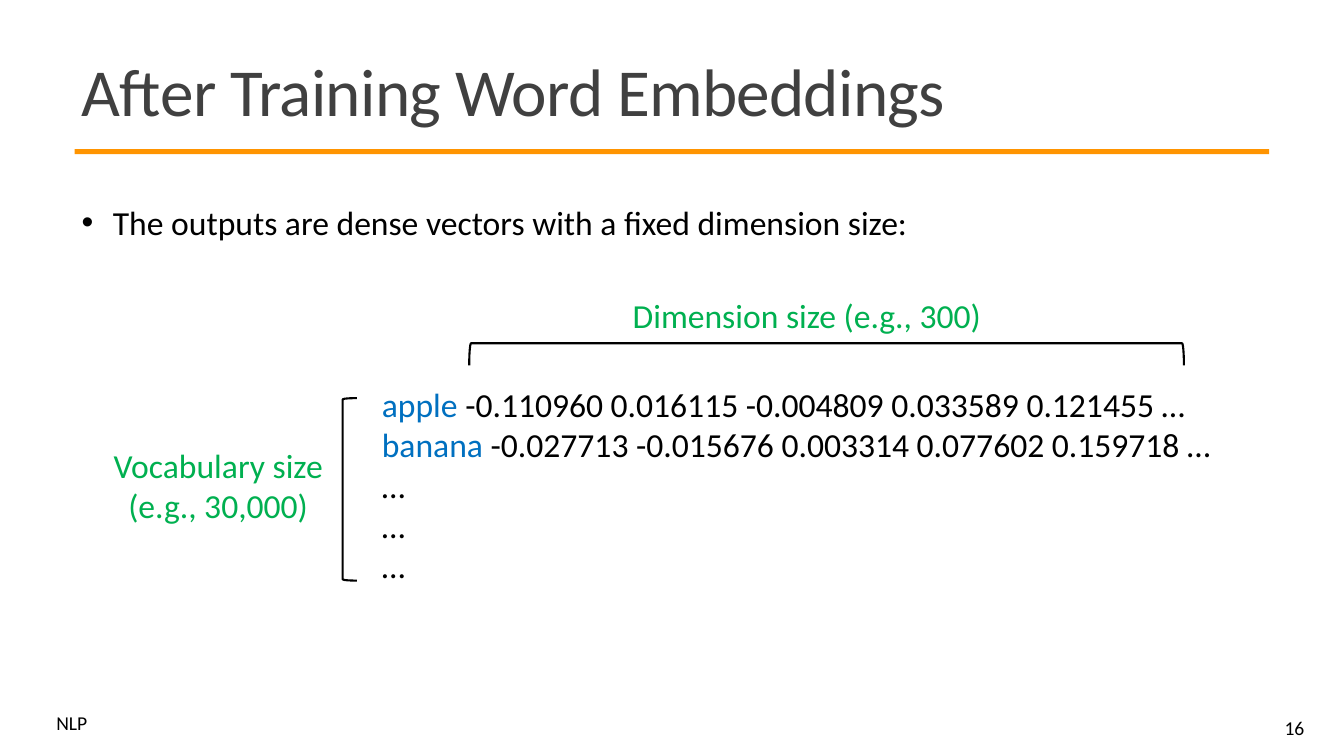
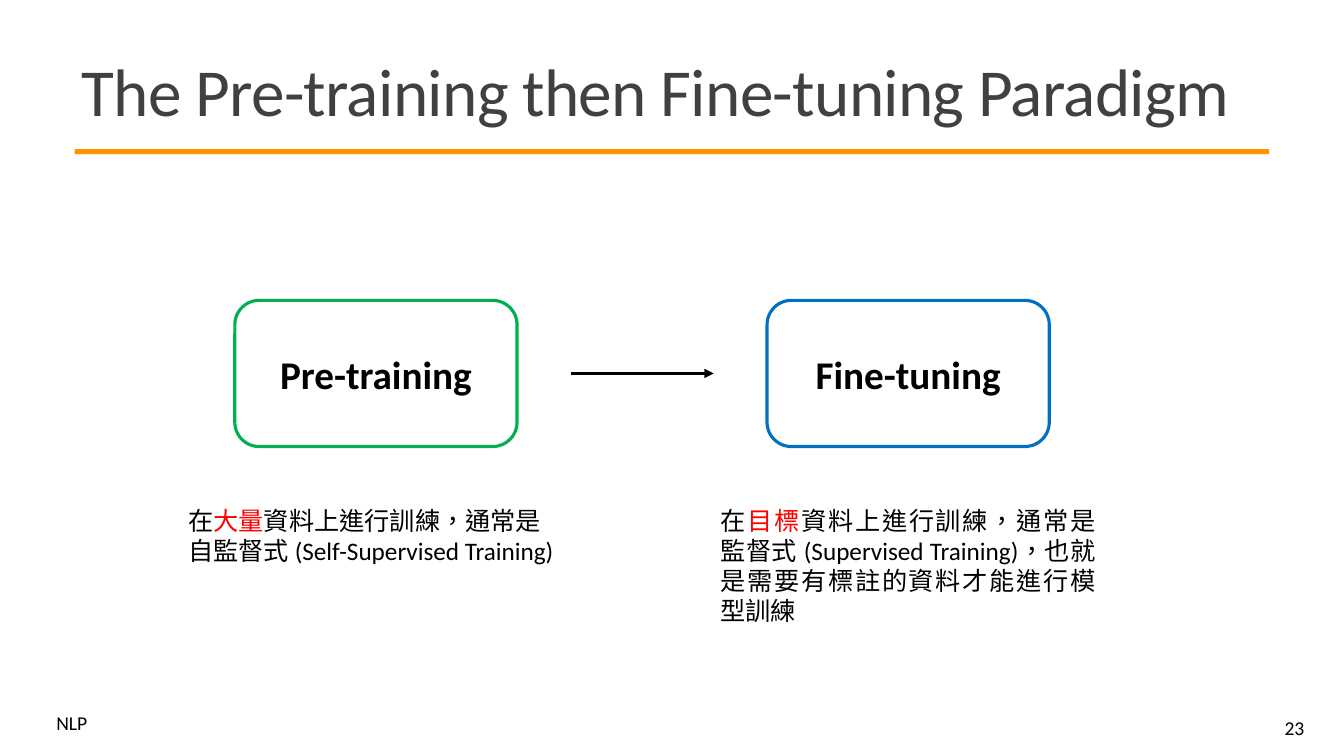
from lxml.etree import SubElement
from pptx import Presentation
from pptx.dml.color import RGBColor
from pptx.enum.lang import MSO_LANGUAGE_ID
from pptx.enum.shapes import MSO_CONNECTOR, MSO_SHAPE
from pptx.enum.text import MSO_ANCHOR, MSO_AUTO_SIZE, PP_ALIGN
from pptx.oxml.ns import qn
from pptx.util import Inches, Pt

FONT = "Calibri"
BLACK, GREY, ORANGE = "000000", "404040", "FF9400"
GREEN, BLUE, RED = "00B050", "0070C0", "FF0000"
COLUMNS, ROWS = 133.33, 75
TITLE_ONLY, TITLE_AND_CONTENT = 5, 1


def color(hex_string):
    return RGBColor.from_string(hex_string)


def grid(*cells):
    return [Inches(cell / 10) for cell in cells]


class Deck:
    """Draws styled elements on the current slide, measured in grid cells of a tenth of an inch."""

    def __init__(self):
        self.presentation = Presentation()
        self.presentation.slide_width, self.presentation.slide_height = grid(COLUMNS, ROWS)
        self.slide = None

    def new_slide(self, heading, number, layout):
        self.slide = self.presentation.slides.add_slide(self.presentation.slide_layouts[layout])
        self.shape(MSO_SHAPE.RECTANGLE, (7.4, 14.8, 118.5, 0.5), fill=ORANGE)
        self.text((4.6, 70.5, 6.1, 2.9), [[("NLP", BLACK)]], size=14, spacing=0.8)
        self.title(heading)
        self.text((116.1, 70.2, 14.3, 4), [[(str(number), BLACK)]], size=14,
                  align=PP_ALIGN.RIGHT, anchor=MSO_ANCHOR.MIDDLE)

    def place(self, element, box):
        element.left, element.top, element.width, element.height = grid(*box)

    def fill_frame(self, frame, paragraphs, size=24, align=PP_ALIGN.LEFT,
                   anchor=MSO_ANCHOR.TOP, spacing=None, bold=False, language=None):
        frame.word_wrap = True
        frame.auto_size = MSO_AUTO_SIZE.NONE
        frame.vertical_anchor = anchor
        for index, pieces in enumerate(paragraphs):
            paragraph = frame.add_paragraph() if index else frame.paragraphs[0]
            paragraph.alignment = align
            paragraph.space_before = Pt(0)
            if spacing:
                paragraph.line_spacing = spacing
            for wording, tint in pieces:
                run = paragraph.add_run()
                run.text = wording
                run.font.name = FONT
                run.font.size = Pt(size)
                run.font.bold = bold
                run.font.color.rgb = color(tint)
                if language:
                    run.font.language_id = language

    def title(self, heading):
        title = self.slide.shapes.title
        self.place(title, (7.1, 3.9, 119.4, 11.3))
        self.fill_frame(title.text_frame, [[(heading, GREY)]], size=48,
                        anchor=MSO_ANCHOR.MIDDLE, spacing=0.85)
        title.text_frame.paragraphs[0].runs[0]._r.get_or_add_rPr().set("spc", "-50")

    def bullets(self, box, points):
        body = self.slide.placeholders[1]
        self.place(body, box)
        self.fill_frame(body.text_frame, [[(point, BLACK)] for point in points])
        for paragraph in body.text_frame.paragraphs:
            properties = paragraph._p.get_or_add_pPr()
            hang = Inches(0.31)
            properties.set("marL", str(hang))
            properties.set("indent", str(-hang))
            SubElement(properties, qn("a:buFont")).set("typeface", "Arial")
            SubElement(properties, qn("a:buChar")).set("char", "•")

    def text(self, box, paragraphs, **style):
        label = self.slide.shapes.add_textbox(*grid(*box))
        self.fill_frame(label.text_frame, paragraphs, **style)

    def shape(self, preset, box, fill=None, line=None, weight=1.5, rotation=0):
        shape = self.slide.shapes.add_shape(preset, *grid(*box))
        shape.shadow.inherit = False
        shape.rotation = rotation
        if fill:
            shape.fill.solid()
            shape.fill.fore_color.rgb = color(fill)
        else:
            shape.fill.background()
        if line:
            shape.line.color.rgb = color(line)
            shape.line.width = Pt(weight)
        else:
            shape.line.fill.background()
        return shape

    def stage(self, box, name, outline):
        stage = self.shape(MSO_SHAPE.ROUNDED_RECTANGLE, box, line=outline, weight=2.25)
        self.fill_frame(stage.text_frame, [[(name, BLACK)]], size=28, bold=True,
                        align=PP_ALIGN.CENTER, anchor=MSO_ANCHOR.MIDDLE)

    def arrow(self, start, end, row):
        arrow = self.slide.shapes.add_connector(MSO_CONNECTOR.STRAIGHT,
                                                *grid(start, row, end, row))
        arrow.line.color.rgb = color(BLACK)
        arrow.line.width = Pt(2.25)
        SubElement(arrow.line._get_or_add_ln(), qn("a:tailEnd")).set("type", "triangle")
        SubElement(arrow._element.spPr, qn("a:effectLst"))


def embeddings_slide(deck):
    deck.new_slide("After Training Word Embeddings", 16, TITLE_AND_CONTENT)
    deck.bullets((7.1, 19.5, 84.7, 5),
                 ["The outputs are dense vectors with a fixed dimension size:"])
    vectors = [
        [("apple", BLUE), (" -0.110960 0.016115 -0.004809 0.033589 0.121455 …", BLACK)],
        [("banana", BLUE), (" -0.027713 -0.015676 0.003314 0.077602 0.159718 …", BLACK)],
    ]
    deck.text((36.9, 37.6, 86.3, 21.2), vectors + [[("…", BLACK)]] * 3)
    deck.text((61.6, 28.8, 36.9, 5), [[("Dimension size (e.g., 300)", GREEN)]],
              align=PP_ALIGN.CENTER)
    deck.text((10.1, 43.6, 23.1, 9.1),
              [[("Vocabulary size", GREEN)], [("(e.g., 30,000)", GREEN)]],
              align=PP_ALIGN.CENTER)
    deck.shape(MSO_SHAPE.LEFT_BRACKET, (34, 39.5, 1.4, 18.1), line=BLACK)
    deck.shape(MSO_SHAPE.LEFT_BRACKET, (80.9, -0.3, 2.2, 70.9), line=BLACK, rotation=90)


def paradigm_slide(deck):
    deck.new_slide("The Pre-training then Fine-tuning Paradigm", 23, TITLE_ONLY)
    first, top, width, height, step = 23.3, 29.8, 28, 14.5, 52.8
    caption_width, arrow_gap = 39.2, 5.3
    stages = [
        ("Pre-training", GREEN, "大量",
         "資料上進行訓練，通常是自監督式 (Self-Supervised Training)", 7.1, PP_ALIGN.LEFT),
        ("Fine-tuning", BLUE, "目標",
         "資料上進行訓練，通常是監督式 (Supervised Training)，也就是需要有標註的資料才能進行模型訓練",
         13.1, PP_ALIGN.JUSTIFY),
    ]
    for index, (name, outline, keyword, rest, caption_height, align) in enumerate(stages):
        left = first + index * step
        deck.stage((left, top, width, height), name, outline)
        deck.text((left + (width - caption_width) / 2, 49.6, caption_width, caption_height),
                  [[("在", BLACK), (keyword, RED), (rest, BLACK)]], size=18, align=align,
                  language=MSO_LANGUAGE_ID.TRADITIONAL_CHINESE)
    deck.arrow(first + width + arrow_gap, first + step - arrow_gap, top + height / 2)


def main():
    deck = Deck()
    embeddings_slide(deck)
    paradigm_slide(deck)
    deck.presentation.save("out.pptx")


if __name__ == "__main__":
    main()
